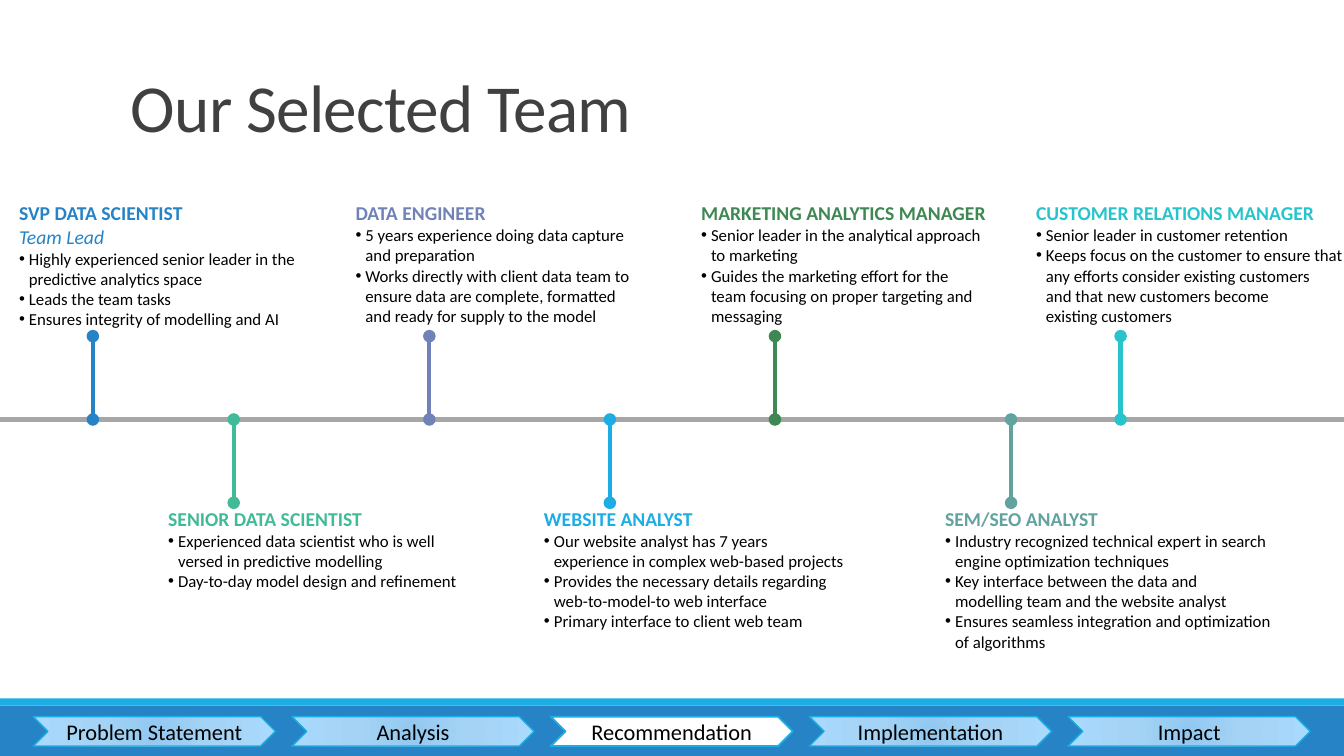
"""Build the team timeline slide with its process footer."""
from lxml.etree import SubElement
from pptx import Presentation
from pptx.dml.color import RGBColor
from pptx.enum.shapes import MSO_CONNECTOR, MSO_SHAPE
from pptx.enum.text import MSO_ANCHOR, MSO_AUTO_SIZE, PP_ALIGN
from pptx.oxml import parse_xml
from pptx.oxml.ns import nsdecls, qn
from pptx.util import Cm, Pt

BLACK = RGBColor(0x00, 0x00, 0x00)
WHITE = RGBColor(0xFF, 0xFF, 0xFF)
CHARCOAL = RGBColor(0x40, 0x40, 0x40)
GREY = RGBColor(0xA6, 0xA6, 0xA6)
BLUE = RGBColor(0x26, 0x83, 0xC6)
SKY = RGBColor(0x1C, 0xAD, 0xE4)
VIOLET = RGBColor(0x71, 0x82, 0xB8)
FOREST = RGBColor(0x3E, 0x88, 0x53)
TURQUOISE = RGBColor(0x28, 0xC4, 0xCC)
MINT = RGBColor(0x42, 0xBA, 0x97)
SAGE = RGBColor(0x62, 0xA3, 0x9F)

FONT = "Calibri"
TITLE = "Our Selected Team"
HARD_SPACE_MARK, HARD_SPACE = "~", chr(160)
PAGE_WIDTH, PAGE_HEIGHT = 33.87, 19.05
AXIS_Y, STEM_LENGTH = 10.57, 2.1
UPPER_TEXT_Y, LOWER_TEXT_Y = 4.95, 12.65

# role, subtitle, colour, stem x, text left, width, height, duties
UPPER_ROLES = [
    ("SVP DATA SCIENTIST", "Team Lead", BLUE, 2.34, 0.23, 7.95, 4.52, [
        "Highly~experienced~senior leader in~the predictive~analytics space",
        "Leads the team~tasks",
        "Ensures integrity~of modelling and~AI"]),
    ("DATA ENGINEER", None, VIOLET, 10.82, 8.71, 7.95, 3.94, [
        "5~years~experience~doing~data capture and~preparation",
        "Works directly~with client data~team to ensure~data are~complete,~formatted "
        "and~ready for supply~to the model"]),
    ("MARKETING ANALYTICS MANAGER", None, FOREST, 19.53, 17.42, 7.95, 4.45, [
        "Senior leader in~the analytical~approach to~marketing",
        "Guides the~marketing effort~for the team~focusing on~proper targeting~and messaging"]),
    ("CUSTOMER RELATIONS MANAGER", None, TURQUOISE, 28.24, 25.86, 8.23, 4.45, [
        "Senior leader in~customer~retention",
        "Keeps focus on~the customer to~ensure that any~efforts consider~existing~customers "
        "and~that new~customers~become existing~customers"]),
]
LOWER_ROLES = [
    ("SENIOR DATA SCIENTIST", None, MINT, 5.89, 3.99, 7.95, 2.9, [
        "Experienced data~scientist who is~well versed in~predictive~modelling",
        "Day-to-day model~design and~refinement"]),
    ("WEBSITE ANALYST", None, SKY, 15.37, 13.46, 8.48, 3.94, [
        "Our website~analyst has 7~years experience~in complex web-based projects",
        "Provides the~necessary details~regarding web-to-model-to web~interface",
        "Primary interface~to client web~team"]),
    ("SEM/SEO ANALYST", None, SAGE, 25.48, 23.57, 9.58, 4.45, [
        "Industry~recognized~technical expert~in search engine~optimization~techniques",
        "Key interface~between the data~and modelling~team and the~website analyst",
        "Ensures seamless~integration and~optimization of~algorithms"]),
]
STEPS = ["Problem Statement", "Analysis", "Recommendation", "Implementation", "Impact"]
CURRENT_STEP = "Recommendation"
STEP_LEFT, STEP_PITCH, STEP_TOP, STEP_WIDTH, STEP_HEIGHT = 0.84, 6.52, 18.06, 6.1, 0.74
STEP_GRADIENT = [(0, "92C9F0"), (45, "A4D3F5"), (100, "A9D9FD")]


def style(para, size, color, bold=False, italic=False):
    font = para.font
    font.name, font.size, font.bold, font.italic = FONT, Pt(size), bold, italic
    font.color.rgb = color


def add_bullet(para):
    properties = para._p.get_or_add_pPr()
    properties.set("marL", str(Cm(0.25)))
    properties.set("indent", str(-Cm(0.25)))
    SubElement(properties, qn("a:buFont")).set("typeface", "Arial")
    SubElement(properties, qn("a:buChar")).set("char", "•")


def add_line(page, x1, y1, x2, y2, color, dots=False):
    line = page.shapes.add_connector(MSO_CONNECTOR.STRAIGHT, Cm(x1), Cm(y1), Cm(x2), Cm(y2))
    line.line.color.rgb = color
    line.line.width = Pt(3)
    if dots:
        for end in ("a:headEnd", "a:tailEnd"):
            SubElement(line.line._get_or_add_ln(), qn(end)).set("type", "oval")
    SubElement(line._element.spPr, qn("a:effectLst"))


def add_band(page, top, height, color):
    band = page.shapes.add_shape(MSO_SHAPE.RECTANGLE, 0, Cm(top), Cm(PAGE_WIDTH), Cm(height))
    band.shadow.inherit = False
    band.fill.solid()
    band.fill.fore_color.rgb = color
    band.line.fill.background()


def add_title(page):
    box = page.shapes.add_textbox(Cm(3.05), Cm(0.79), Cm(27.94), Cm(4.04))
    box.text_frame.word_wrap = True
    box.text_frame.vertical_anchor = MSO_ANCHOR.MIDDLE
    para = box.text_frame.paragraphs[0]
    para.text = TITLE
    para.line_spacing = 0.85
    style(para, 48, CHARCOAL)
    para.font._element.set("spc", "-50")


def add_role(page, role, text_top, stem_end):
    name, subtitle, color, stem_x, left, width, height, duties = role
    add_line(page, stem_x, AXIS_Y, stem_x, stem_end, color, dots=True)
    box = page.shapes.add_textbox(Cm(left), Cm(text_top), Cm(width), Cm(height))
    frame = box.text_frame
    frame.word_wrap = True
    frame.auto_size = MSO_AUTO_SIZE.SHAPE_TO_FIT_TEXT
    para = frame.paragraphs[0]
    para.text = name
    style(para, 14, color, bold=True)
    if subtitle:
        para = frame.add_paragraph()
        para.text = subtitle
        style(para, 14, color, italic=True)
    for duty in duties:
        para = frame.add_paragraph()
        para.text = duty.replace(HARD_SPACE_MARK, HARD_SPACE)
        add_bullet(para)
        style(para, 12, BLACK)


def fill_gradient(shape):
    stops = "".join(f'<a:gs pos="{position * 1000}"><a:srgbClr val="{color}"/></a:gs>'
                    for position, color in STEP_GRADIENT)
    gradient = parse_xml(
        f'<a:gradFill {nsdecls("a")} rotWithShape="1"><a:gsLst>{stops}</a:gsLst>'
        '<a:path path="circle"><a:fillToRect l="100000" t="100000" r="100000" b="100000"/>'
        '</a:path></a:gradFill>')
    shape._element.spPr.find(qn("a:prstGeom")).addnext(gradient)


def add_step(page, index, label):
    step = page.shapes.add_shape(MSO_SHAPE.CHEVRON, Cm(STEP_LEFT + index * STEP_PITCH),
                                 Cm(STEP_TOP), Cm(STEP_WIDTH), Cm(STEP_HEIGHT))
    step.shadow.inherit = False
    current = label == CURRENT_STEP
    if current:
        step.fill.solid()
        step.fill.fore_color.rgb = WHITE
    else:
        fill_gradient(step)
    step.line.color.rgb = SKY
    step.line.width = Pt(1.25 if current else 1)
    step.text_frame.vertical_anchor = MSO_ANCHOR.MIDDLE
    para = step.text_frame.paragraphs[0]
    para.text = label
    para.alignment = PP_ALIGN.CENTER
    style(para, 16, BLACK)


def main():
    deck = Presentation()
    deck.slide_width, deck.slide_height = Cm(PAGE_WIDTH), Cm(PAGE_HEIGHT)
    page = deck.slides.add_slide(deck.slide_layouts[6])
    add_band(page, 17.78, 1.27, BLUE)
    add_band(page, 17.6, 0.18, SKY)
    add_title(page)
    add_line(page, 0, AXIS_Y, PAGE_WIDTH, AXIS_Y, GREY)
    for role in UPPER_ROLES:
        add_role(page, role, UPPER_TEXT_Y, AXIS_Y - STEM_LENGTH)
    for role in LOWER_ROLES:
        add_role(page, role, LOWER_TEXT_Y, AXIS_Y + STEM_LENGTH)
    for index, label in enumerate(STEPS):
        add_step(page, index, label)
    deck.save("out.pptx")


if __name__ == "__main__":
    main()
